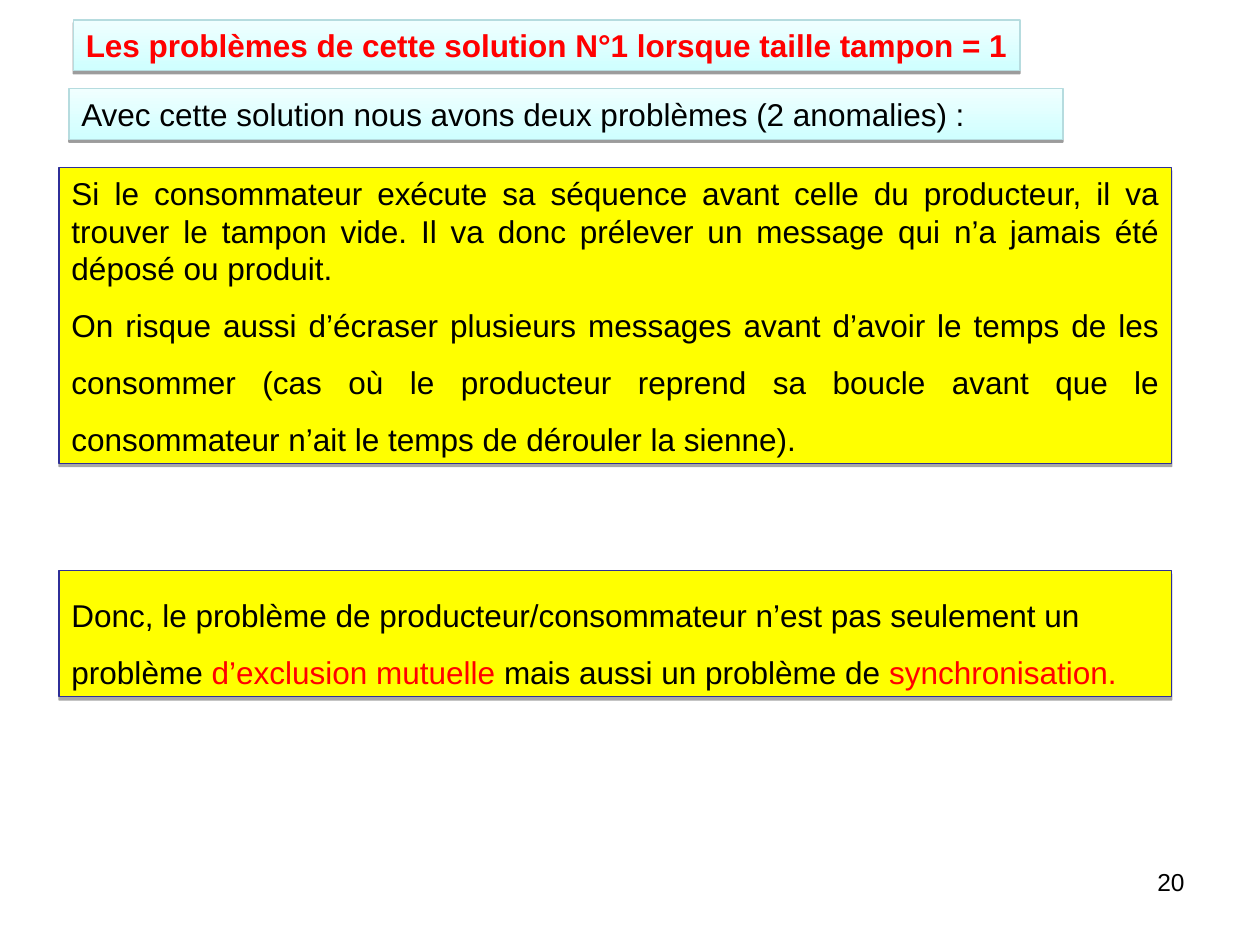
import pptx
import pptx.dml.color
import pptx.enum.shapes
import pptx.enum.text
import pptx.oxml
import pptx.oxml.ns
import pptx.util

Pt = pptx.util.Pt
RGBColor = pptx.dml.color.RGBColor
ALIGN = pptx.enum.text.PP_ALIGN

BLACK = RGBColor(0x00, 0x00, 0x00)
RED = RGBColor(0xFF, 0x00, 0x00)
YELLOW = RGBColor(0xFF, 0xFF, 0x00)
NAVY = RGBColor(0x2F, 0x2F, 0x98)
PALE_CYAN = RGBColor(0xF0, 0xFF, 0xFF)
CYAN = RGBColor(0xCF, 0xFF, 0xFF)
TEAL = RGBColor(0xB6, 0xDC, 0xDF)

# Fill colours (two make a gradient), outline, shadow opacity in % and distance
BANNER = {"fill": (PALE_CYAN, CYAN), "line": TEAL, "opacity": 38, "distance": 1.6}
PANEL = {"fill": (YELLOW,), "line": NAVY, "opacity": 35, "distance": 1.8}

PANEL_LEFT, PANEL_WIDTH = 33.8, 635.8


def set_attributes(target, values):
    for name, value in values.items():
        setattr(target, name, value)


def place(shape, left, top, width, height):
    set_attributes(shape, {"left": Pt(left), "top": Pt(top),
                           "width": Pt(width), "height": Pt(height)})


def add_shadow(shape, opacity, distance):
    """Give the shape a sharp black shadow straight below it."""
    shape.shadow.inherit = False
    effects = shape._element.spPr.find(pptx.oxml.ns.qn("a:effectLst"))
    effects.append(pptx.oxml.parse_xml(
        f'<a:outerShdw {pptx.oxml.ns.nsdecls("a")} blurRad="0" dist="{Pt(distance)}" '
        f'dir="5400000" rotWithShape="0"><a:srgbClr val="000000">'
        f'<a:alpha val="{opacity * 1000}"/></a:srgbClr></a:outerShdw>'))


def style_box(shape, style):
    colours = style["fill"]
    if len(colours) == 1:
        shape.fill.solid()
        shape.fill.fore_color.rgb = colours[0]
    else:
        shape.fill.gradient()
        shape.fill.gradient_angle = 270
        for stop, colour in zip(shape.fill.gradient_stops, colours):
            stop.color.rgb = colour
    shape.line.color.rgb = style["line"]
    shape.line.width = Pt(0.75)
    add_shadow(shape, style["opacity"], style["distance"])


def write_text(shape, paragraphs, size=18, bold=False, margin_right=7.2):
    """Write paragraphs given as (format values, [(text, colour), ...])."""
    frame = shape.text_frame
    set_attributes(frame, {
        "word_wrap": True,
        "auto_size": pptx.enum.text.MSO_AUTO_SIZE.NONE,
        "vertical_anchor": pptx.enum.text.MSO_ANCHOR.TOP,
        "margin_left": Pt(7.2), "margin_right": Pt(margin_right),
        "margin_top": Pt(3.6), "margin_bottom": Pt(3.6)})
    for index, (values, runs) in enumerate(paragraphs):
        paragraph = frame.add_paragraph() if index else frame.paragraphs[0]
        set_attributes(paragraph, {"alignment": ALIGN.LEFT, **values})
        for text, colour in runs:
            run = paragraph.add_run()
            run.text = text
            set_attributes(run.font, {"name": "Arial", "size": Pt(size), "bold": bold})
            run.font.color.rgb = colour


def add_title(slide, text, position):
    title = slide.shapes.title
    place(title, *position)
    style_box(title, BANNER)
    # The narrow right margin keeps the heading on one line
    write_text(title, [({}, [(text, RED)])], bold=True, margin_right=0)


def add_box(slide, position, style, paragraphs):
    box = slide.shapes.add_shape(pptx.enum.shapes.MSO_SHAPE.RECTANGLE, 0, 0, 0, 0)
    place(box, *position)
    style_box(box, style)
    write_text(box, paragraphs)


def add_page_number(slide, number, position):
    box = slide.shapes.add_textbox(0, 0, 0, 0)
    place(box, *position)
    write_text(box, [({"alignment": ALIGN.RIGHT}, [(number, BLACK)])], size=14)


def main():
    presentation = pptx.Presentation()
    presentation.slide_width = Pt(720)
    presentation.slide_height = Pt(540)
    slide = presentation.slides.add_slide(presentation.slide_layouts[5])

    # Heading and introduction
    add_title(slide, "Les problèmes de cette solution N°1 lorsque taille tampon = 1",
              (41.8, 11.5, 541, 29))
    add_box(slide, (39.4, 50.6, 568, 29), BANNER, [
        ({}, [("Avec cette solution nous avons deux problèmes (2 anomalies) :", BLACK)])])

    # The two anomalies
    add_box(slide, (PANEL_LEFT, 95.8, PANEL_WIDTH, 169), PANEL, [
        ({"alignment": ALIGN.JUSTIFY}, [
            ("Si le consommateur exécute sa séquence avant celle du producteur, il va "
             "trouver le tampon vide. Il va donc prélever un message qui n’a jamais été "
             "déposé ou produit.", BLACK)]),
        ({"alignment": ALIGN.JUSTIFY, "line_spacing": 1.5}, [
            ("On risque aussi d’écraser plusieurs messages avant d’avoir le temps de les "
             "consommer (cas où le producteur reprend sa boucle avant que le "
             "consommateur n’ait le temps de dérouler la sienne).", BLACK)])])

    # Conclusion
    add_box(slide, (PANEL_LEFT, 326.2, PANEL_WIDTH, 72), PANEL, [
        ({"line_spacing": 1.5}, [
            ("Donc, le problème de producteur/consommateur n’est pas seulement un "
             "problème ", BLACK),
            ("d’exclusion mutuelle ", RED),
            ("mais aussi un problème de ", BLACK),
            ("synchronisation.", RED)])])

    add_page_number(slide, "20", (516, 492, 168, 37.5))
    presentation.save("out.pptx")


if __name__ == "__main__":
    main()
